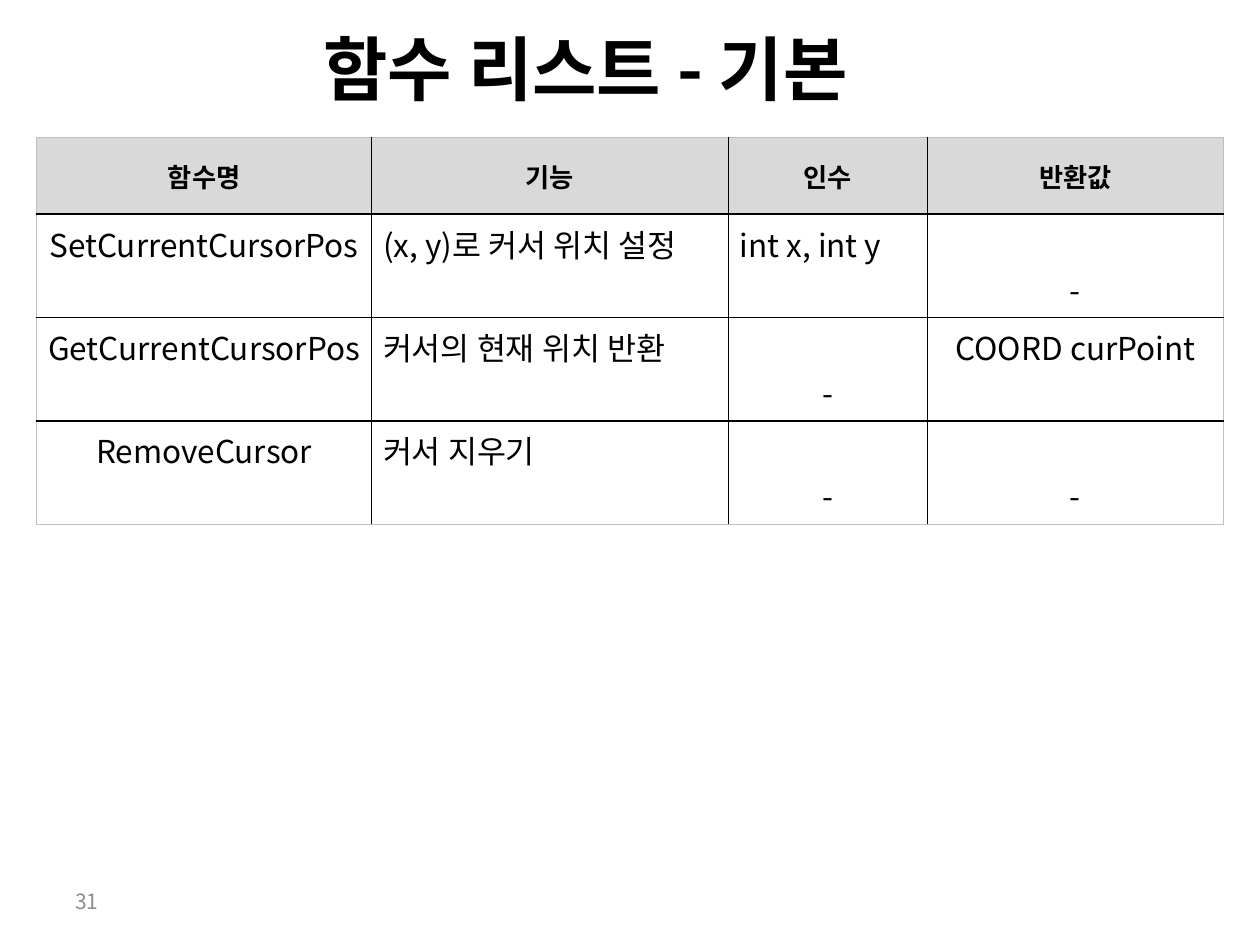
from lxml import etree
from pptx import Presentation
from pptx.dml.color import RGBColor
from pptx.enum import text
from pptx.oxml import ns
from pptx.util import Inches, Pt

FONT = "Noto Sans CJK KR"
TITLE = "함수 리스트 - 기본"
PAGE_NUMBER = "31"
HEADINGS = ["함수명", "기능", "인수", "반환값"]
FUNCTIONS = [
    ("SetCurrentCursorPos", "(x, y)로 커서 위치 설정", "int x, int y", "-"),
    ("GetCurrentCursorPos", "커서의 현재 위치 반환", "-", "COORD curPoint"),
    ("RemoveCursor", "커서 지우기", "-", "-"),
]
COLUMN_WIDTHS = [2.66, 2.83, 1.58, 2.35]
HEADING_HEIGHT, FUNCTION_HEIGHT = 0.61, 0.82
INNER_LINE, OUTER_LINE = ("000000", 1), ("BFBFBF", 0.5)
LEFT, CENTER = text.PP_ALIGN.LEFT, text.PP_ALIGN.CENTER
TOP, MIDDLE, BOTTOM = (text.MSO_ANCHOR.TOP, text.MSO_ANCHOR.MIDDLE,
                       text.MSO_ANCHOR.BOTTOM)


def rgb(color):
    return RGBColor.from_string(color)


def write(frame, words, size, color="000000", bold=False, align=LEFT):
    paragraph = frame.paragraphs[0]
    paragraph.alignment = align
    run = paragraph.add_run()
    run.text = words
    font = run.font
    font.size, font.bold, font.name = Pt(size), bold, FONT
    font.color.rgb = rgb(color)
    latin = font._element.find(ns.qn("a:latin"))
    east_asian = etree.Element(ns.qn("a:ea"), typeface=FONT)
    latin.addnext(east_asian)


def add_label(slide, words, box, anchor, **style):
    label = slide.shapes.add_textbox(*map(Inches, box))
    frame = label.text_frame
    frame.word_wrap = True
    frame.vertical_anchor = anchor
    write(frame, words, **style)


def set_borders(cell, lines):
    properties = cell._tc.get_or_add_tcPr()
    for position, (side, (color, width)) in enumerate(lines.items()):
        line = etree.Element(ns.qn(f"a:ln{side}"), w=str(Pt(width)))
        fill = etree.SubElement(line, ns.qn("a:solidFill"))
        etree.SubElement(fill, ns.qn("a:srgbClr"), val=color)
        properties.insert(position, line)


def add_function_table(slide):
    rows = [HEADINGS, *FUNCTIONS]
    heights = [HEADING_HEIGHT] + [FUNCTION_HEIGHT] * len(FUNCTIONS)
    table = slide.shapes.add_table(
        len(rows), len(HEADINGS), Inches(0.29), Inches(1.09),
        Inches(sum(COLUMN_WIDTHS)), Inches(sum(heights))).table
    table.first_row = table.horz_banding = False
    for column, width in zip(table.columns, COLUMN_WIDTHS):
        column.width = Inches(width)
    last_row, last_column = len(rows) - 1, len(HEADINGS) - 1
    for r, (values, height) in enumerate(zip(rows, heights)):
        table.rows[r].height = Inches(height)
        for c, value in enumerate(values):
            cell = table.cell(r, c)
            heading = r == 0
            if heading:
                cell.fill.solid()
                cell.fill.fore_color.rgb = rgb("D9D9D9")
                cell.vertical_anchor = MIDDLE
            else:
                cell.fill.background()
                cell.vertical_anchor = BOTTOM if value == "-" else TOP
            cell.margin_left = cell.margin_right = Inches(0.09)
            cell.margin_top = cell.margin_bottom = Inches(0.05)
            at_left = not heading and (c == 1 or value.startswith("int"))
            write(cell.text_frame, value, 15 if heading else 18,
                  bold=heading, align=LEFT if at_left else CENTER)
            edges = {"L": c == 0, "R": c == last_column,
                     "T": r == 0, "B": r == last_row}
            set_borders(cell, {side: OUTER_LINE if outer else INNER_LINE
                               for side, outer in edges.items()})


def main():
    deck = Presentation()
    deck.slide_width, deck.slide_height = Inches(10), Inches(7.5)
    slide = deck.slides.add_slide(deck.slide_layouts[6])
    add_label(slide, PAGE_NUMBER, (0.5, 6.95, 2.33, 0.4), MIDDLE,
              size=12, color="8C8C8C")
    add_function_table(slide)
    add_label(slide, TITLE, (2.47, 0.15, 5.06, 0.77), TOP, size=40, bold=True)
    deck.save("out.pptx")


if __name__ == "__main__":
    main()
